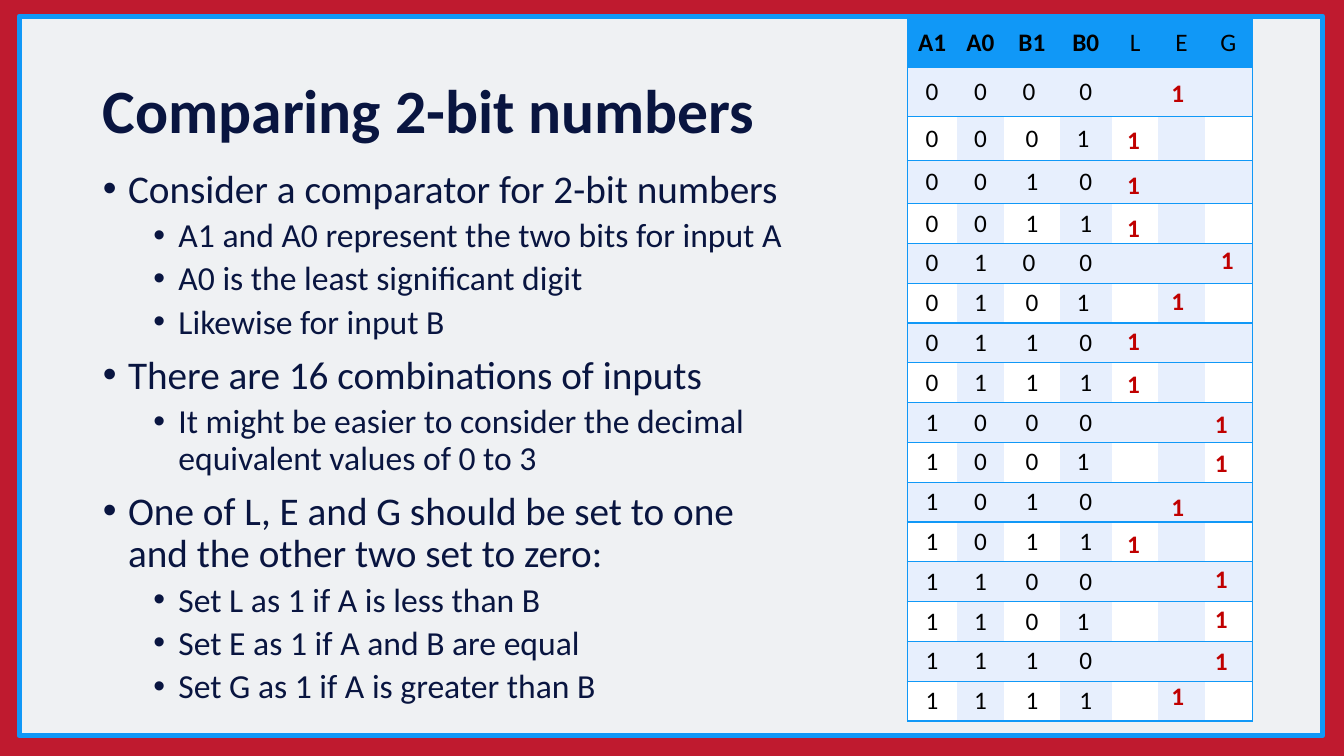
from lxml.etree import SubElement
from pptx import Presentation
from pptx.dml.color import RGBColor
from pptx.enum.shapes import MSO_SHAPE
from pptx.enum.text import MSO_ANCHOR, MSO_AUTO_SIZE, PP_ALIGN
from pptx.oxml.ns import qn
from pptx.util import Inches, Pt

# Content
TITLE = "Comparing 2-bit numbers"
BULLETS = [
    (0, "Consider a comparator for 2-bit numbers"),
    (1, "A1 and A0 represent the two bits for input A"),
    (1, "A0 is the least significant digit"),
    (1, "Likewise for input B"),
    (0, "There are 16 combinations of inputs"),
    (1, "It might be easier to consider the decimal equivalent values of 0 to 3"),
    (0, "One of L, E and G should be set to one and the other two set to zero:"),
    (1, "Set L as 1 if A is less than B"),
    (1, "Set E as 1 if A and B are equal"),
    (1, "Set G as 1 if A is greater than B"),
]
INPUTS = ["A1", "A0", "B1", "B0"]
OUTPUTS = ["L", "E", "G"]

# Layout in inches; one mark top for each combination of inputs
COLUMN_WIDTHS = [0.49, 0.47, 0.55, 0.52, 0.46, 0.46, 0.47]
ROW_HEIGHTS = [0.49, 0.49, 0.43, 0.43] + [0.395] * 13
MARK_LEFTS = {"L": 11.08, "E": 11.52, "G": 11.95}
MARK_TOPS = [0.72, 1.18, 1.63, 2.06, 2.37, 2.78, 3.18, 3.61,
             4, 4.39, 4.83, 5.19, 5.54, 5.94, 6.35, 6.7]
MARK_NUDGES = {4: 0.06}

# Format
RED, BLUE, PANEL, NAVY = "BF1A2F", "1098F7", "EFF1F3", "091540"
BAND, WHITE, BLACK, MARK_RED = "E7EFFD", "FFFFFF", "000000", "C00000"
LEVELS = [
    {"size": 28, "before": 10, "indent": 0.25},
    {"size": 24, "before": 5, "indent": 0.75},
]
PLAIN_TABLE_STYLE = "{2D5ABB26-0587-4C30-8999-92F81FD0307C}"
NO_BREAK_SPACE = chr(160)


def color(value):
    return RGBColor.from_string(value)


def fill_with(target, value):
    target.fill.solid()
    target.fill.fore_color.rgb = color(value)


def set_attributes(target, values):
    for name, value in values.items():
        setattr(target, name, value)


def write(paragraph, text, size, ink, bold=False):
    run = paragraph.add_run()
    run.text = text
    set_attributes(run.font, {"name": "Calibri", "size": Pt(size), "bold": bold})
    run.font.color.rgb = color(ink)


def place(shape, left, top, width, height):
    set_attributes(shape, {"left": Inches(left), "top": Inches(top),
                           "width": Inches(width), "height": Inches(height)})


def add_bullet(paragraph, indent):
    properties = paragraph._p.get_or_add_pPr()
    properties.set("marL", str(Inches(indent)))
    properties.set("indent", str(Inches(-0.25)))
    SubElement(properties, qn("a:buFont"), typeface="Arial")
    SubElement(properties, qn("a:buChar"), char="•")


def add_border(cell, side):
    line = SubElement(cell._tc.get_or_add_tcPr(), qn(f"a:ln{side}"), w=str(Pt(1)))
    SubElement(SubElement(line, qn("a:solidFill")), qn("a:srgbClr"), val=BLUE)


def input_texts(a, b):
    texts = list(f"{a:02b}{b:02b}")
    if a < 2 and b == 0:
        texts[2] += NO_BREAK_SPACE
    if b == 1:
        texts[3] += NO_BREAK_SPACE
    return texts


def cell_fill(row, column):
    if row == 0:
        return BLUE
    return BAND if row % 2 or column % 2 else WHITE


presentation = Presentation()
set_attributes(presentation, {"slide_width": Inches(13.33), "slide_height": Inches(7.5)})
slide = presentation.slides.add_slide(presentation.slide_layouts[1])
shapes = slide.shapes

# Background and framed panel
fill_with(slide.background, RED)
panel = shapes.add_shape(MSO_SHAPE.RECTANGLE, Inches(0.19), Inches(0.16),
                         Inches(12.93), Inches(7.14))
panel.shadow.inherit = False
fill_with(panel, PANEL)
panel.line.color.rgb = color(BLUE)
panel.line.width = Pt(3.5)
shapes._spTree.insert(2, panel._element)

# Title
title = shapes.title
place(title, 0.92, 0.4, 11.5, 1.45)
set_attributes(title.text_frame, {"vertical_anchor": MSO_ANCHOR.MIDDLE,
                                  "auto_size": MSO_AUTO_SIZE.NONE})
heading = title.text_frame.paragraphs[0]
set_attributes(heading, {"alignment": PP_ALIGN.LEFT, "line_spacing": 0.9})
write(heading, TITLE, 44, NAVY, bold=True)

# Bullet list
body = slide.placeholders[1]
place(body, 0.92, 1.63, 6.99, 5.52)
body.text_frame.auto_size = MSO_AUTO_SIZE.NONE
for index, (level, text) in enumerate(BULLETS):
    frame = body.text_frame
    paragraph = frame.add_paragraph() if index else frame.paragraphs[0]
    look = LEVELS[level]
    set_attributes(paragraph, {"level": level, "line_spacing": 0.9,
                               "space_before": Pt(look["before"])})
    add_bullet(paragraph, look["indent"])
    write(paragraph, text, look["size"], NAVY)

# Truth table
combinations = [(a, b) for a in range(4) for b in range(4)]
rows = [INPUTS + OUTPUTS]
rows += [input_texts(a, b) + [""] * len(OUTPUTS) for a, b in combinations]
table_frame = shapes.add_table(len(rows), len(COLUMN_WIDTHS), Inches(9), Inches(0.18),
                               Inches(sum(COLUMN_WIDTHS)), Inches(sum(ROW_HEIGHTS)))
table = table_frame.table
table._tbl.tblPr.find(qn("a:tableStyleId")).text = PLAIN_TABLE_STYLE
set_attributes(table, {"first_row": False, "horz_banding": False})
for column, width in zip(table.columns, COLUMN_WIDTHS):
    column.width = Inches(width)
for row, height in zip(table.rows, ROW_HEIGHTS):
    row.height = Inches(height)
for row_index, texts in enumerate(rows):
    for column_index, text in enumerate(texts):
        cell = table.cell(row_index, column_index)
        set_attributes(cell, {"vertical_anchor": MSO_ANCHOR.MIDDLE,
                              "margin_left": Inches(0.07), "margin_right": Inches(0.07),
                              "margin_top": 0, "margin_bottom": 0})
        if column_index == 0:
            add_border(cell, "L")
        if column_index == len(texts) - 1:
            add_border(cell, "R")
        add_border(cell, "T")
        add_border(cell, "B")
        fill_with(cell, cell_fill(row_index, column_index))
        if text:
            paragraph = cell.text_frame.paragraphs[0]
            paragraph.alignment = PP_ALIGN.CENTER
            write(paragraph, text, 18, BLACK, bold=row_index == 0 and text in INPUTS)

# Output marks
for index, ((a, b), top) in enumerate(zip(combinations, MARK_TOPS)):
    output = "L" if a < b else "E" if a == b else "G"
    left = MARK_LEFTS[output] + MARK_NUDGES.get(index, 0)
    mark = shapes.add_textbox(Inches(left), Inches(top), Inches(0.33), Inches(0.4))
    set_attributes(mark.text_frame, {"word_wrap": False,
                                     "auto_size": MSO_AUTO_SIZE.SHAPE_TO_FIT_TEXT})
    write(mark.text_frame.paragraphs[0], "1", 18, MARK_RED, bold=True)

presentation.save("out.pptx")
